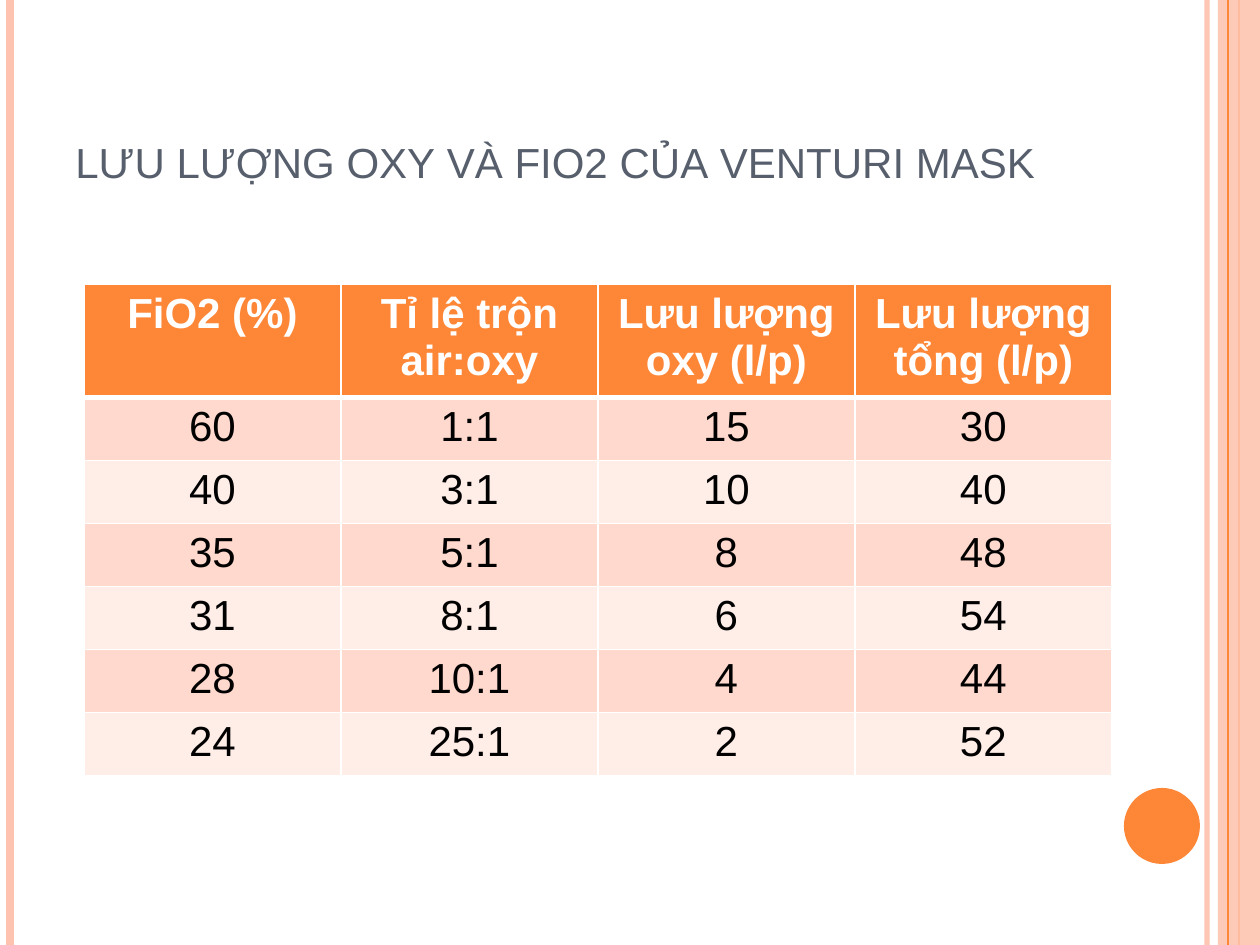
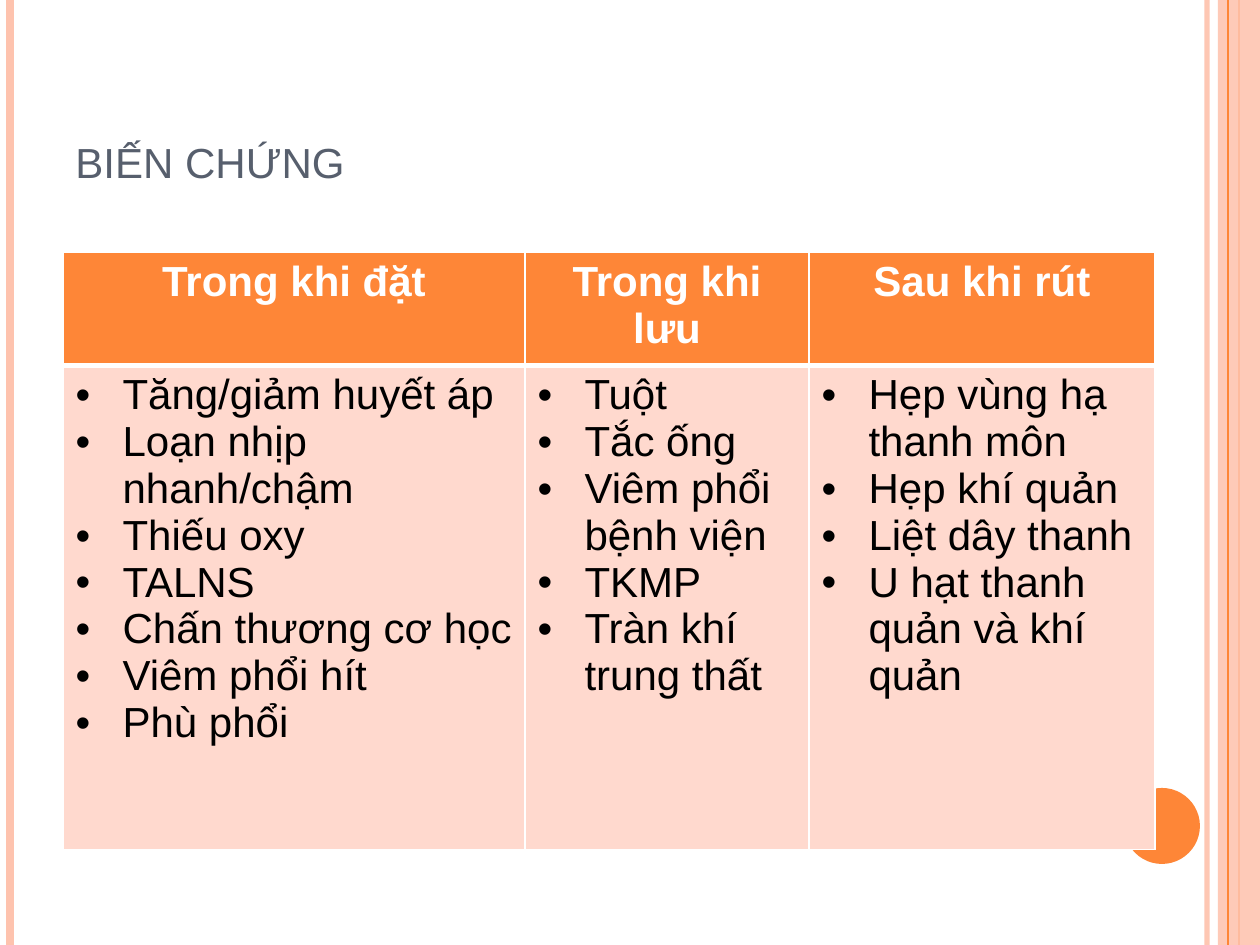
from dataclasses import dataclass

from lxml.etree import SubElement
from pptx import Presentation
from pptx.dml.color import RGBColor
from pptx.enum.shapes import MSO_CONNECTOR, MSO_SHAPE
from pptx.enum.text import MSO_ANCHOR, PP_ALIGN
from pptx.oxml import parse_xml
from pptx.oxml.ns import nsdecls, qn
from pptx.util import Emu, Pt

PX_PER_INCH = 126
SLIDE_WIDTH, SLIDE_HEIGHT = 1260, 945
FONT = "Arial"
COLORS = {
    "accent": "FE8637",
    "stripe": "FEC3AE",
    "title": "575F6D",
    "text": "000000",
    "white": "FFFFFF",
    "band_dark": "FFD9CE",
    "band_light": "FFEDE8",
}


@dataclass(frozen=True)
class Stripe:
    x: int
    color: str
    weight: float
    opacity: int = 100


@dataclass(frozen=True)
class Panel:
    preset: MSO_SHAPE
    left: int
    top: int
    width: int
    height: int
    color: str
    opacity: int = 100


@dataclass(frozen=True)
class Grid:
    left: int
    top: int
    columns: tuple[int, ...]
    row_height: int
    rows: tuple[tuple[str, ...], ...]
    bulleted: bool = False


DECORATION = (
    Stripe(1207, "stripe", 3, 93),
    Stripe(10, "stripe", 4.5),
    Stripe(1239, "accent", 1.5),
    Panel(MSO_SHAPE.RECTANGLE, 1218, 0, 42, SLIDE_HEIGHT, "stripe", 87),
    Stripe(1228, "accent", 0.75),
    Panel(MSO_SHAPE.OVAL, 1124, 788, 76, 76, "accent"),
)
HEADER_HEIGHT = 106

OXYGEN_FLOW = Grid(84, 284, (257,) * 4, 59, (
    ("FiO2 (%)", "Tỉ lệ trộn air:oxy", "Lưu lượng oxy (l/p)", "Lưu lượng tổng (l/p)"),
    ("60", "1:1", "15", "30"),
    ("40", "3:1", "10", "40"),
    ("35", "5:1", "8", "48"),
    ("31", "8:1", "6", "54"),
    ("28", "10:1", "4", "44"),
    ("24", "25:1", "2", "52"),
))
COMPLICATIONS = Grid(63, 252, (462, 284, 346), 484, (
    ("Trong khi đặt", "Trong khi lưu", "Sau khi rút"),
    (
        "Tăng/giảm huyết áp\nLoạn nhịp nhanh/chậm\nThiếu oxy\nTALNS\n"
        "Chấn thương cơ học\nViêm phổi hít\nPhù phổi",
        "Tuột\nTắc ống\nViêm phổi bệnh viện\nTKMP\nTràn khí trung thất",
        "Hẹp vùng hạ thanh môn\nHẹp khí quản\nLiệt dây thanh\n"
        "U hạt thanh quản và khí quản",
    ),
), bulleted=True)
SECTIONS = (
    ("lưu lượng oxy và fio2 của venturi mask", OXYGEN_FLOW),
    ("biến chứng", COMPLICATIONS),
)


def px(length: int) -> Emu:
    return Emu(round(length * 914400 / PX_PER_INCH))


def rgb(color: str) -> RGBColor:
    return RGBColor.from_string(COLORS[color])


def set_opacity(element, opacity: int) -> None:
    if opacity < 100:
        tint = next(element.iter(qn("a:srgbClr")))
        SubElement(tint, qn("a:alpha"), val=str(opacity * 1000))


def write_text(frame, text: str, *, size: int = 24, color: str = "text",
               bold: bool = False, align: PP_ALIGN = PP_ALIGN.LEFT,
               bulleted: bool = False, small_caps: bool = False) -> None:
    for index, line in enumerate(text.split("\n")):
        paragraph = frame.add_paragraph() if index else frame.paragraphs[0]
        if bulleted:
            properties = paragraph._p.get_or_add_pPr()
            indent = px(47)
            properties.set("marL", str(indent))
            properties.set("indent", str(-indent))
            SubElement(properties, qn("a:buFont"), typeface=FONT)
            SubElement(properties, qn("a:buChar"), char="•")
        paragraph.alignment = align
        run = paragraph.add_run()
        run.text = line
        run.font.name = FONT
        run.font.size = Pt(size)
        run.font.bold = bold
        run.font.color.rgb = rgb(color)
        if small_caps:
            run.font._element.set("cap", "small")


def draw_stripe(slide, stripe: Stripe) -> None:
    line = slide.shapes.add_connector(
        MSO_CONNECTOR.STRAIGHT, px(stripe.x), 0, px(stripe.x), px(SLIDE_HEIGHT))
    line.line.color.rgb = rgb(stripe.color)
    line.line.width = Pt(stripe.weight)
    set_opacity(line._element, stripe.opacity)
    SubElement(line._element.spPr, qn("a:effectLst"))


def draw_panel(slide, panel: Panel) -> None:
    shape = slide.shapes.add_shape(
        panel.preset, px(panel.left), px(panel.top), px(panel.width), px(panel.height))
    shape.shadow.inherit = False
    shape.fill.solid()
    shape.fill.fore_color.rgb = rgb(panel.color)
    shape.line.fill.background()
    set_opacity(shape._element, panel.opacity)


def draw_title(slide, text: str) -> None:
    title = slide.shapes.add_textbox(px(63), px(38), px(1029), px(157))
    title.text_frame.word_wrap = True
    title.text_frame.vertical_anchor = MSO_ANCHOR.BOTTOM
    write_text(title.text_frame, text, size=30, color="title", small_caps=True)


def set_borders(cell, row: int) -> None:
    weights = {"L": 1, "R": 1, "T": 3 if row == 1 else 1, "B": 3 if row == 0 else 1}
    for position, (side, weight) in enumerate(weights.items()):
        border = parse_xml(
            f'<a:ln{side} {nsdecls("a")} w="{Pt(weight)}"><a:solidFill>'
            f'<a:srgbClr val="{COLORS["white"]}"/></a:solidFill></a:ln{side}>')
        cell._tc.get_or_add_tcPr().insert(position, border)


def draw_grid(slide, grid: Grid) -> None:
    heights = [HEADER_HEIGHT] + [grid.row_height] * (len(grid.rows) - 1)
    table = slide.shapes.add_table(
        len(grid.rows), len(grid.columns), px(grid.left), px(grid.top),
        px(sum(grid.columns)), px(sum(heights))).table
    table.horz_banding = False
    for column, width in zip(table.columns, grid.columns):
        column.width = px(width)
    for row, (height, texts) in enumerate(zip(heights, grid.rows)):
        table.rows[row].height = px(height)
        header = row == 0
        bulleted = grid.bulleted and not header
        band = "accent" if header else "band_dark" if row % 2 else "band_light"
        for column, text in enumerate(texts):
            cell = table.cell(row, column)
            cell.fill.solid()
            cell.fill.fore_color.rgb = rgb(band)
            set_borders(cell, row)
            write_text(cell.text_frame, text, color="white" if header else "text",
                       bold=header, bulleted=bulleted,
                       align=PP_ALIGN.LEFT if bulleted else PP_ALIGN.CENTER)


def draw_decoration(slide) -> None:
    for part in DECORATION:
        if isinstance(part, Stripe):
            draw_stripe(slide, part)
        else:
            draw_panel(slide, part)


def main() -> None:
    deck = Presentation()
    deck.slide_width, deck.slide_height = px(SLIDE_WIDTH), px(SLIDE_HEIGHT)
    for title, grid in SECTIONS:
        slide = deck.slides.add_slide(deck.slide_layouts[6])
        draw_decoration(slide)
        draw_title(slide, title)
        draw_grid(slide, grid)
    deck.save("out.pptx")


if __name__ == "__main__":
    main()
